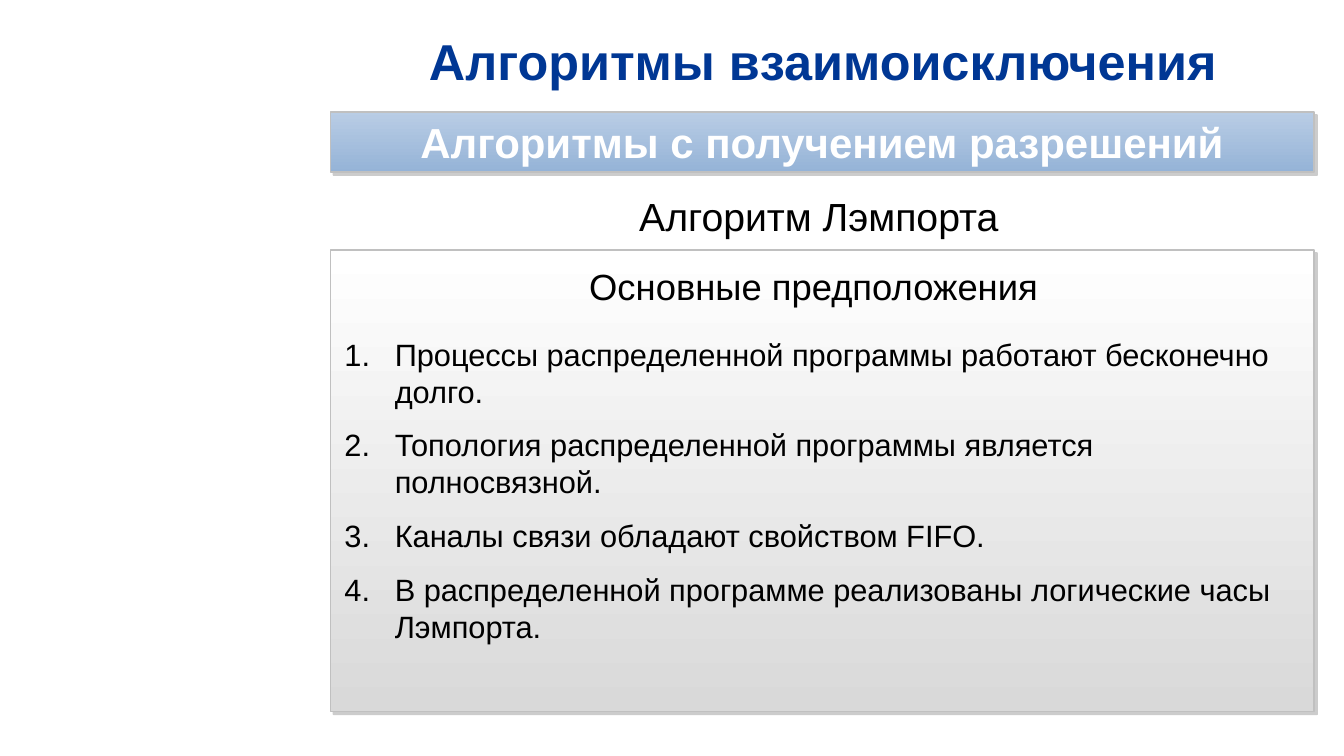
from dataclasses import dataclass

import pptx
import pptx.dml.color
import pptx.enum.shapes
import pptx.enum.text
import pptx.oxml
import pptx.oxml.ns
import pptx.util

Cm = pptx.util.Cm
Pt = pptx.util.Pt
ALIGN = pptx.enum.text.PP_ALIGN
ANCHOR = pptx.enum.text.MSO_ANCHOR
AUTO_SIZE = pptx.enum.text.MSO_AUTO_SIZE


@dataclass(frozen=True)
class Theme:
    font: str = "Arial"
    title_color: str = "003794"
    banner_color: str = "FFFFFF"
    text_color: str = "000000"
    border: str = "C0C0C0"
    shadow: str = "808080"
    banner_fill: tuple = ("B9CDE5", "95B3D7")
    panel_fill: tuple = ("FFFFFF", "D9D9D9")
    title_size: int = 36
    banner_size: int = 30
    algorithm_size: int = 28
    heading_size: int = 26
    list_size: int = 22


THEME = Theme()
PANEL_LEFT = 8.33
PANEL_WIDTH = 24.79
ASSUMPTIONS = (
    "Процессы распределенной программы работают бесконечно долго.",
    "Топология распределенной программы является полносвязной.",
    "Каналы связи обладают свойством FIFO.",
    "В распределенной программе реализованы логические часы Лэмпорта.",
)


def rgb(value):
    return pptx.dml.color.RGBColor.from_string(value)


def style(paragraph, size, color, bold=False):
    font = paragraph.font
    font.name = THEME.font
    font.size = Pt(size)
    font.bold = bold
    font.color.rgb = rgb(color)


def add_shadow(panel):
    panel.shadow.inherit = False
    effects = panel.element.spPr.find(pptx.oxml.ns.qn("a:effectLst"))
    effects.append(pptx.oxml.parse_xml(
        f'<a:outerShdw {pptx.oxml.ns.nsdecls("a")} blurRad="0" dist="{Pt(3)}"'
        ' dir="2700000" algn="tl" rotWithShape="0">'
        f'<a:srgbClr val="{THEME.shadow}"><a:alpha val="40000"/></a:srgbClr>'
        '</a:outerShdw>'))


def add_panel(slide, top, height, colors):
    panel = slide.shapes.add_shape(
        pptx.enum.shapes.MSO_SHAPE.RECTANGLE,
        Cm(PANEL_LEFT), Cm(top), Cm(PANEL_WIDTH), Cm(height))
    panel.fill.gradient()
    panel.fill.gradient_angle = 270
    for stop, position, color in zip(panel.fill.gradient_stops, (0, 1), colors):
        stop.position = position
        stop.color.rgb = rgb(color)
    panel.line.color.rgb = rgb(THEME.border)
    panel.line.width = Pt(1)
    add_shadow(panel)
    return panel


def add_banner(slide, text):
    frame = add_panel(slide, 2.82, 1.52, THEME.banner_fill).text_frame
    frame.word_wrap = True
    frame.vertical_anchor = ANCHOR.MIDDLE
    frame.margin_left = frame.margin_right = Cm(0.6)
    frame.margin_top = frame.margin_bottom = Cm(0.1)
    caption = frame.paragraphs[0]
    caption.text = text
    caption.alignment = ALIGN.CENTER
    style(caption, THEME.banner_size, THEME.banner_color, bold=True)


def add_text_frame(slide, left, top, width, height):
    frame = slide.shapes.add_textbox(Cm(left), Cm(top), Cm(width), Cm(height)).text_frame
    frame.word_wrap = True
    return frame


def add_heading(slide, text, place, size, color=THEME.text_color, bold=False):
    frame = add_text_frame(slide, *place)
    frame.auto_size = AUTO_SIZE.SHAPE_TO_FIT_TEXT
    heading = frame.paragraphs[0]
    heading.text = text
    heading.alignment = ALIGN.CENTER
    style(heading, size, color, bold)
    return frame


def number(paragraph, indent):
    properties = paragraph._p.get_or_add_pPr()
    properties.set("marL", str(indent))
    properties.set("indent", str(-indent))
    numbering = pptx.oxml.parse_xml(
        f'<a:buAutoNum {pptx.oxml.ns.nsdecls("a")} type="arabicPeriod"/>')
    properties.insert_element_before(numbering, "a:tabLst", "a:defRPr", "a:extLst")


def add_numbered_list(slide, items, place):
    frame = add_text_frame(slide, *place)
    frame.auto_size = AUTO_SIZE.SHAPE_TO_FIT_TEXT
    for index, text in enumerate(items):
        item = frame.add_paragraph() if index else frame.paragraphs[0]
        item.text = text
        item.space_after = Pt(12 if index < len(items) - 1 else 6)
        style(item, THEME.list_size, THEME.text_color)
        number(item, Cm(1.27))


def main():
    presentation = pptx.Presentation()
    presentation.slide_width = Cm(33.87)
    presentation.slide_height = Cm(19.05)
    slide = presentation.slides.add_slide(presentation.slide_layouts[6])

    add_banner(slide, "Алгоритмы с получением разрешений")
    add_panel(slide, 6.3, 11.63, THEME.panel_fill)
    add_heading(slide, "Алгоритм Лэмпорта", (11.73, 4.72, 17.81, 1.45),
                THEME.algorithm_size)
    add_heading(slide, "Основные предположения ", (10.34, 6.53, 20.6, 1.37),
                THEME.heading_size)
    add_numbered_list(slide, ASSUMPTIONS, (8.43, 8.33, 24.69, 8.13))
    title = add_heading(slide, "Алгоритмы взаимоисключения", (8.94, 0.66, 23.6, 1.73),
                        THEME.title_size, THEME.title_color, bold=True)
    title.auto_size = AUTO_SIZE.NONE
    title.vertical_anchor = ANCHOR.MIDDLE

    presentation.save("out.pptx")


if __name__ == "__main__":
    main()
